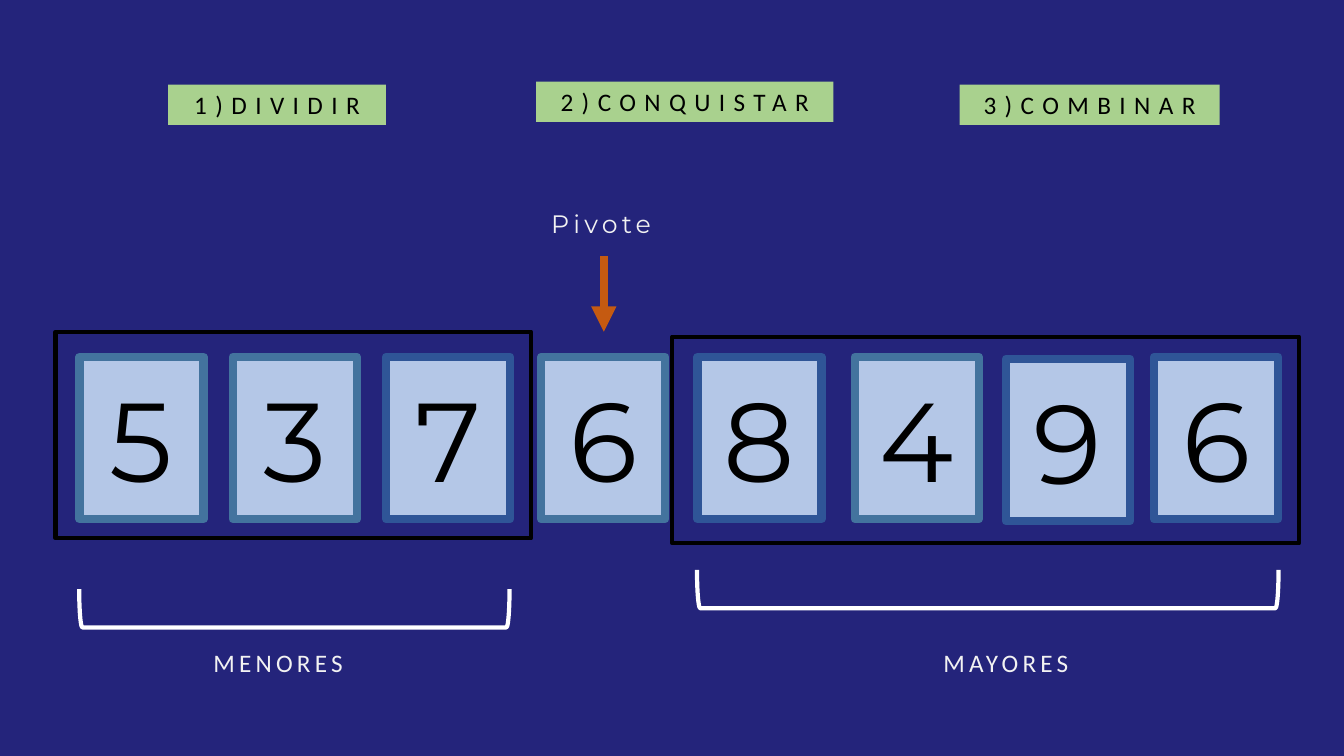
from pptx import Presentation
from pptx.dml.color import RGBColor
from pptx.enum.shapes import MSO_CONNECTOR, MSO_SHAPE
from pptx.enum.text import MSO_ANCHOR, PP_ALIGN
from pptx.oxml.ns import qn
from pptx.util import Pt
from lxml import etree

RECTANGLE = MSO_SHAPE.RECTANGLE
LEFT_BRACKET = MSO_SHAPE.LEFT_BRACKET
STRAIGHT = MSO_CONNECTOR.STRAIGHT
MIDDLE = MSO_ANCHOR.MIDDLE
LEFT, CENTER = PP_ALIGN.LEFT, PP_ALIGN.CENTER

NAVY = RGBColor(0x24, 0x24, 0x7B)
PALE_BLUE = RGBColor(0xB4, 0xC7, 0xE7)
TEAL = RGBColor(0x43, 0x73, 0x9E)
BLUE = RGBColor(0x2F, 0x55, 0x97)
ORANGE = RGBColor(0xC5, 0x5A, 0x11)
GREEN = RGBColor(0xA9, 0xD1, 0x8E)
OFF_WHITE = RGBColor(0xF2, 0xF2, 0xF2)
WHITE = RGBColor(0xFF, 0xFF, 0xFF)
BLACK = RGBColor(0, 0, 0)

LABEL_HEIGHT = 28.8
CARD_WIDTH, CARD_HEIGHT = 88.6, 115.9


def add_box(shapes, kind, left, top, width, height, fill=None, line=None, line_width=3):
    """Add a shape without shadow; a missing fill or line colour means none."""
    shape = shapes.add_shape(kind, Pt(left), Pt(top), Pt(width), Pt(height))
    shape.shadow.inherit = False
    if fill is None:
        shape.fill.background()
    else:
        shape.fill.solid()
        shape.fill.fore_color.rgb = fill
    if line is None:
        shape.line.fill.background()
    else:
        shape.line.color.rgb = line
        shape.line.width = Pt(line_width)
    return shape


def write_text(shape, text, font_name, size, color, alignment=CENTER, spacing=0):
    """Put one line of text in a shape; spacing is the letter spacing in points."""
    shape.text_frame.word_wrap = True
    paragraph = shape.text_frame.paragraphs[0]
    paragraph.alignment = alignment
    run = paragraph.add_run()
    run.text = text
    font = paragraph.font
    font.name, font.size, font.color.rgb = font_name, Pt(size), color
    if spacing:
        run.font._element.set("spc", str(spacing * 100))


presentation = Presentation()
presentation.slide_width, presentation.slide_height = Pt(960), Pt(540)
slide = presentation.slides.add_slide(presentation.slide_layouts[6])
slide.background.fill.solid()
slide.background.fill.fore_color.rgb = NAVY

# Number cards
for digit, left, top, border in (
    ("5", 56.9, 254.9, TEAL),
    ("3", 166.3, 254.9, TEAL),
    ("7", 275.8, 254.9, BLUE),
    ("6", 386.6, 254.9, TEAL),
    ("8", 498.2, 254.9, BLUE),
    ("4", 610.6, 254.9, TEAL),
    ("9", 718.6, 256.3, BLUE),
    ("6", 824.4, 254.9, BLUE),
):
    card = add_box(slide.shapes, RECTANGLE, left, top, CARD_WIDTH, CARD_HEIGHT,
                   PALE_BLUE, border, 6)
    card.text_frame.vertical_anchor = MIDDLE
    write_text(card, digit, "Montserrat", 80, BLACK)

# Pivot arrow and label
arrow = slide.shapes.add_connector(STRAIGHT, Pt(431.3), Pt(182.9), Pt(431.3), Pt(236.9))
arrow.line.color.rgb = ORANGE
arrow.line.width = Pt(6)
etree.SubElement(arrow.line._get_or_add_ln(), qn("a:tailEnd"), type="triangle")
etree.SubElement(arrow._element.spPr, qn("a:effectLst"))

pivot_label = slide.shapes.add_textbox(Pt(386.6), Pt(145.4), Pt(100.1), Pt(LABEL_HEIGHT))
write_text(pivot_label, "Pivote", "Montserrat", 18, OFF_WHITE, LEFT, 3)

# Each side of the pivot: label with its bracket, turned to open upwards
for text, alignment, label_left, label_width, left, top, depth, length in (
    ("MENORES", LEFT, 145.4, 130.3, 196.6, 280.8, 27.4, 307.4),
    ("MAYORES", CENTER, 660.2, 116.6, 691.9, 213.1, 27.4, 415.4),
):
    group = slide.shapes.add_group_shape()
    label = group.shapes.add_textbox(Pt(label_left), Pt(458.6), Pt(label_width),
                                     Pt(LABEL_HEIGHT))
    write_text(label, text, "Calibri", 18, OFF_WHITE, alignment, 3)
    bracket = add_box(group.shapes, LEFT_BRACKET, left, top, depth, length, line=WHITE)
    bracket.rotation = 270

# Frames around both sides
for left, top, width in ((39.6, 236.9, 339.8), (480.2, 240.5, 447.8)):
    add_box(slide.shapes, RECTANGLE, left, top, width, 147.6, line=BLACK)

# Step headings
for text, left, top, width in (
    ("1)DIVIDIR", 120.2, 60.5, 155.5),
    ("2)CONQUISTAR", 383, 58.3, 212.4),
    ("3)COMBINAR", 685.4, 60.5, 185.8),
):
    heading = add_box(slide.shapes, RECTANGLE, left, top, width, LABEL_HEIGHT, GREEN)
    write_text(heading, text, "Calibri", 18, BLACK, spacing=6)

presentation.save("out.pptx")
